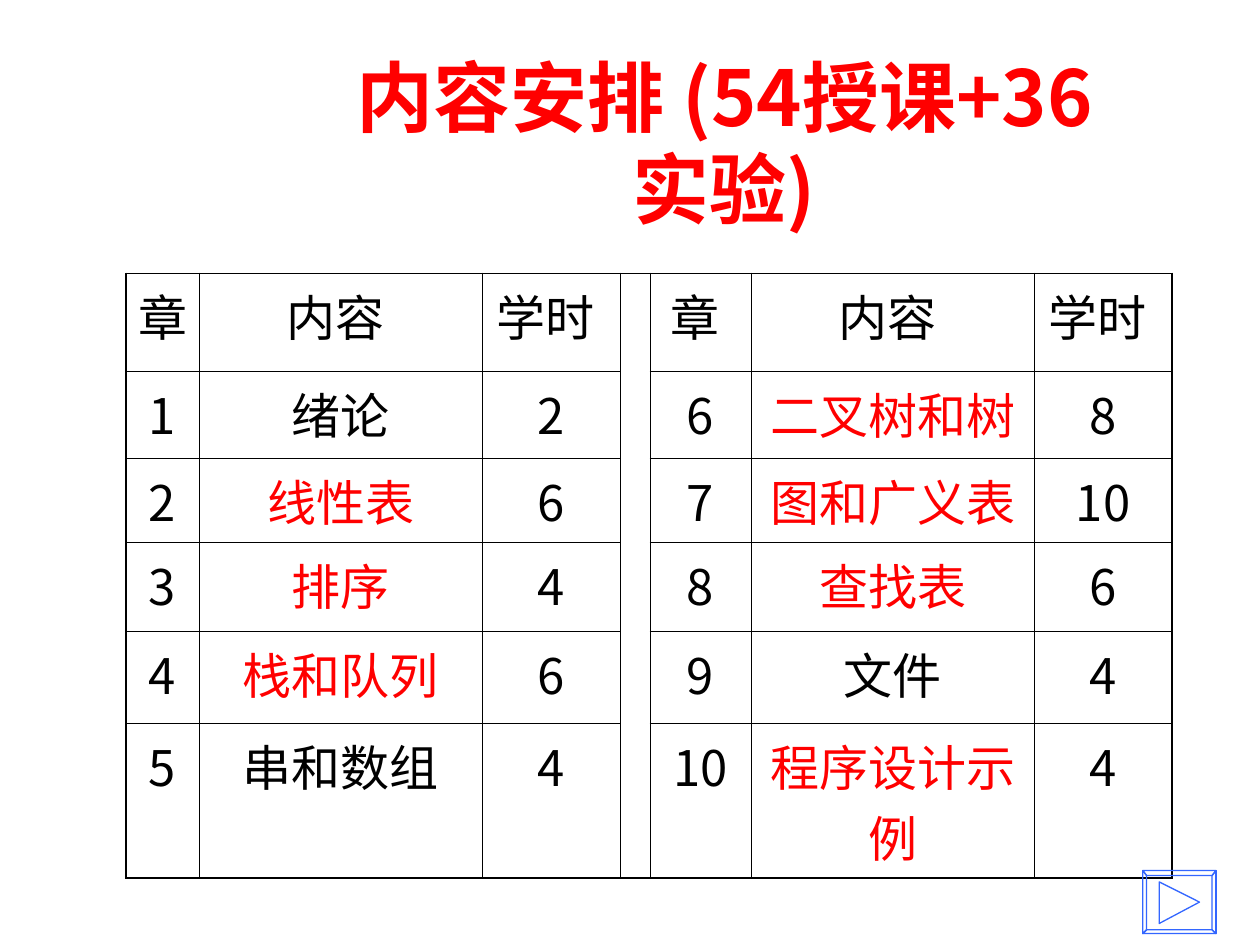
from lxml.etree import SubElement
from pptx import Presentation
from pptx.dml.color import RGBColor
from pptx.enum.text import MSO_ANCHOR, MSO_AUTO_SIZE, PP_ALIGN
from pptx.oxml import parse_xml
from pptx.oxml.ns import nsdecls, qn
from pptx.util import Inches, Pt

RED = RGBColor(0xFF, 0x00, 0x00)
BLACK = RGBColor(0x00, 0x00, 0x00)
WHITE = RGBColor(0xFF, 0xFF, 0xFF)
BLUE = RGBColor(0x33, 0x66, 0xFF)
FONT = "Noto Sans CJK SC"
THIN, THICK = 0.45, 1.08

COLS = [0.58, 2.25, 1.09, 0.24, 0.8, 2.25, 1.09]
ROWS = [0.78, 0.69, 0.66, 0.71, 0.73, 1.04]
GAP = 3
TEXTS = [
    ["章", "内容 ", "学时 ", "", "章 ", "内容 ", "学时 "],
    ["1", "绪论", "2", "", "6", "二叉树和树", "8"],
    ["2", "线性表", "6", "", "7", "图和广义表", "10"],
    ["3", "排序", "4", "", "8", "查找表", "6"],
    ["4", "栈和队列", "6", "", "9", "文件", "4"],
    ["5", "串和数组", "4", "", "10", "程序设计示例", "4"],
]
KEY = {"线性表", "排序", "栈和队列", "二叉树和树", "图和广义表", "查找表", "程序设计示例"}


def style(frame, size, color, bold=False):
    """Centre the frame's one paragraph and set Latin and East Asian fonts."""
    para = frame.paragraphs[0]
    para.alignment = PP_ALIGN.CENTER
    for run in para.runs:
        font = run.font
        font.name = FONT
        font.size = Pt(size)
        font.bold = bold
        font.color.rgb = color
        SubElement(font._element, qn("a:ea"), typeface=FONT)


def add_title(slide):
    title = slide.shapes.title
    title.left, title.top = Inches(2.56), Inches(0.71)
    title.width, title.height = Inches(6.38), Inches(0.83)
    frame = title.text_frame
    frame.text = "内容安排 (54授课+36实验)"
    frame.word_wrap = True
    frame.auto_size = MSO_AUTO_SIZE.NONE
    frame.vertical_anchor = MSO_ANCHOR.MIDDLE
    style(frame, 44, RED, True)


def set_edges(cell, row, col):
    """Draw thick lines on the table's outside and thin ones inside."""
    outer = {
        "L": col == 0,
        "R": col == len(COLS) - 1,
        "T": row == 0,
        "B": row == len(ROWS) - 1 or (col == GAP and row == 0),
    }
    props = cell._tc.get_or_add_tcPr()
    for place, (side, thick) in enumerate(outer.items()):
        width = Pt(THICK if thick else THIN)
        props.insert(place, parse_xml(
            f'<a:ln{side} {nsdecls("a")} w="{width}"><a:solidFill>'
            f'<a:srgbClr val="{BLACK}"/></a:solidFill></a:ln{side}>'))


def add_plan(slide):
    table = slide.shapes.add_table(
        len(ROWS), len(COLS), Inches(1), Inches(2.17),
        Inches(sum(COLS)), Inches(sum(ROWS))).table
    table.first_row = table.horz_banding = False
    for col, width in zip(table.columns, COLS):
        col.width = Inches(width)
    for row, height in zip(table.rows, ROWS):
        row.height = Inches(height)
    table.cell(0, GAP).merge(table.cell(len(ROWS) - 1, GAP))
    for r, line in enumerate(TEXTS):
        for c, text in enumerate(line):
            cell = table.cell(r, c)
            cell.fill.solid()
            cell.fill.fore_color.rgb = WHITE
            set_edges(cell, r, c)
            if text:
                cell.text_frame.text = text
                style(cell.text_frame, 28, RED if text in KEY else BLACK)


def corners(left, top, right, bottom):
    return [(left, top), (right, top), (right, bottom), (left, bottom)]


def add_button(slide):
    """Outline a bevelled button with a forward arrow, in hundredths of an inch."""
    outer = corners(907, 691, 965, 741)
    inner = corners(910, 695, 962, 738)
    bevels = []
    for i in range(4):
        j = (i + 1) % 4
        bevels.append([outer[i], outer[j], inner[j], inner[i]])
    arrow = [(920, 700), (952, 716), (920, 733)]
    pen = slide.shapes.build_freeform(*outer[0], scale=Inches(0.01))
    pen.add_line_segments(outer[1:], close=True)
    for path in bevels + [arrow]:
        pen.move_to(*path[0])
        pen.add_line_segments(path[1:], close=True)
    button = pen.convert_to_shape()
    button.shadow.inherit = False
    button.fill.background()
    button.line.color.rgb = BLUE
    button.line.width = Pt(0.75)


def main():
    deck = Presentation()
    deck.slide_width, deck.slide_height = Inches(10), Inches(7.5)
    slide = deck.slides.add_slide(deck.slide_layouts[5])
    add_title(slide)
    add_plan(slide)
    add_button(slide)
    deck.save("out.pptx")


if __name__ == "__main__":
    main()
